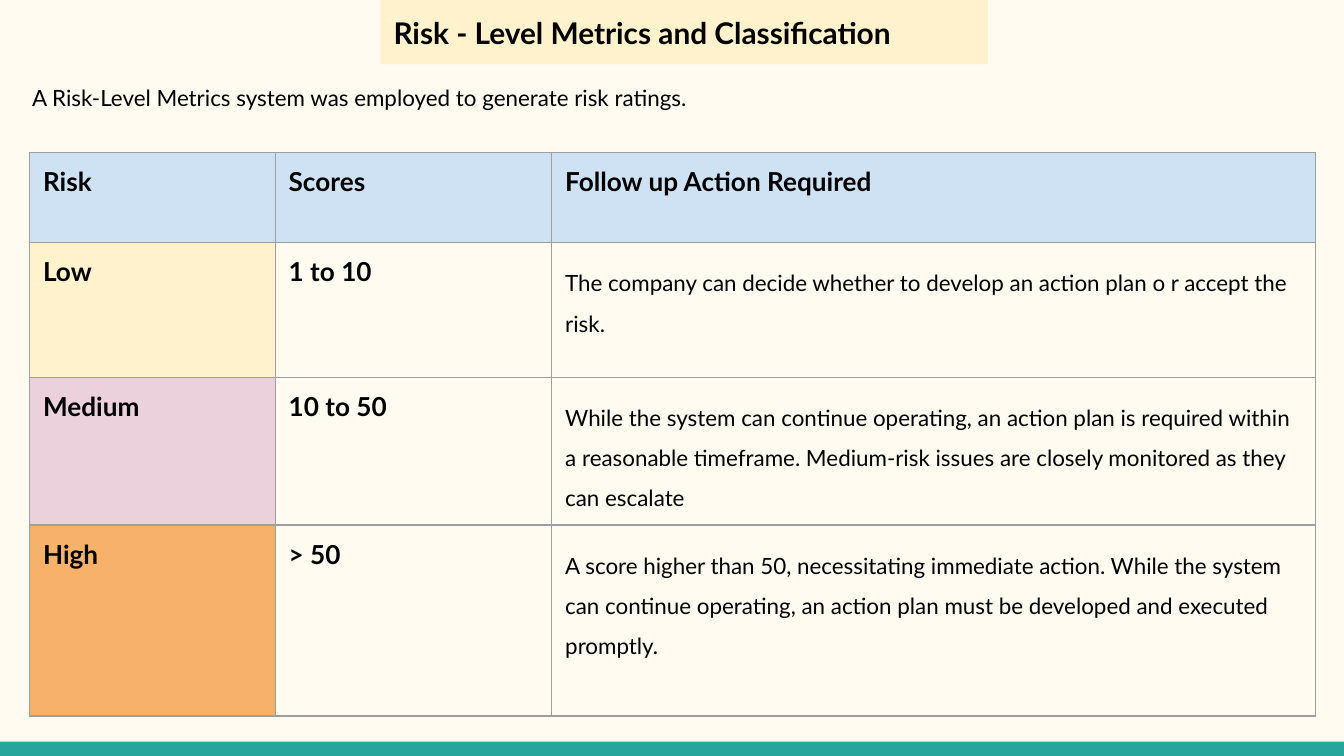
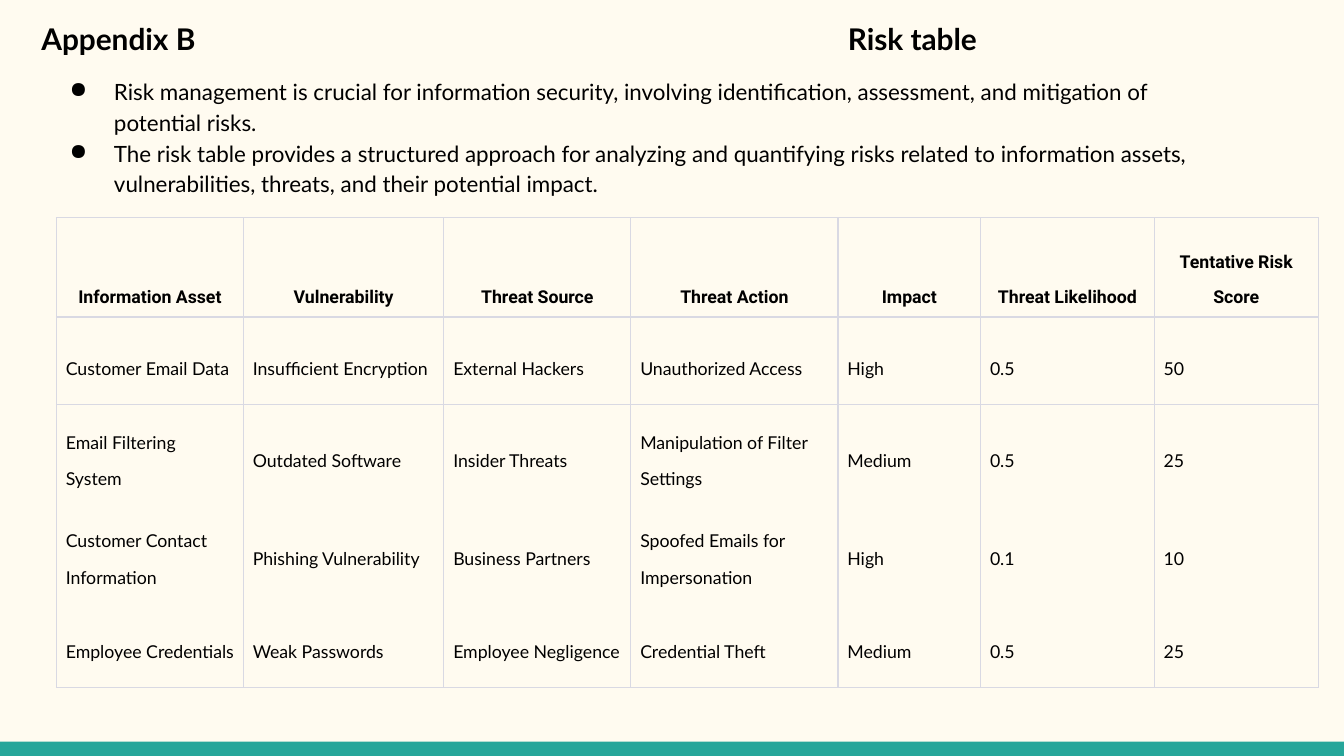
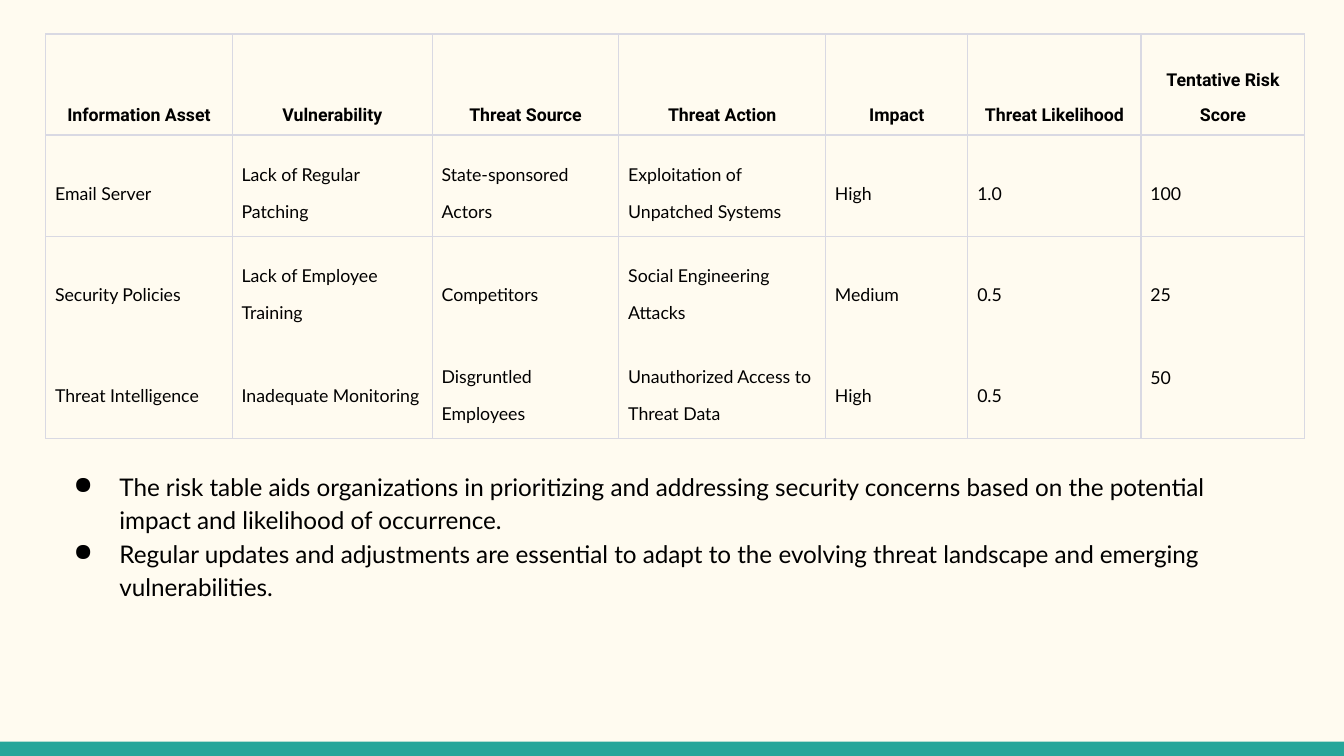
import dataclasses

import lxml.etree
import pptx
import pptx.dml.color
import pptx.enum.shapes
import pptx.enum.text
import pptx.oxml.ns
import pptx.util

ANCHOR = pptx.enum.text.MSO_ANCHOR
ALIGN = pptx.enum.text.PP_ALIGN
WIDE, HIGH = 10, 5.625


@dataclasses.dataclass(frozen=True)
class Theme:
    page: str = "FFFBF0"
    band: str = "26A69A"
    ink: str = "000000"
    head: str = "CFE2F3"
    low: str = "FFF2CC"
    medium: str = "EAD1DC"
    high: str = "F6B26B"
    rule: str = "9E9E9E"
    pale: str = "D9D9E3"
    title: float = 16
    label: float = 14
    note: float = 13
    body: float = 12
    small: float = 9.5
    face: str = "Lato"
    strong: str = "Roboto"


T = Theme()
TITLE = {"size": T.title, "bold": True}
LABEL = {"size": T.label, "bold": True}
BODY = {"size": T.body}
NOTE = {"size": T.note}
SMALL = {"size": T.small}
COLUMN = {"size": T.small, "bold": True, "name": T.strong}

LEVELS = [
    ("Low", "1 to 10", T.low,
     "The company can decide whether to develop an action plan o r accept the risk."),
    ("Medium", "10 to 50", T.medium,
     "While the system can continue operating, an action plan is required within a "
     "reasonable timeframe. Medium-risk issues are closely monitored as they can escalate"),
    ("High", "> 50", T.high,
     "A score higher than 50, necessitating immediate action. While the system can "
     "continue operating, an action plan must be developed and executed promptly."),
]
HEADS = ["Information Asset", "Vulnerability", "Threat Source", "Threat Action",
         "Impact", "Threat Likelihood", "Tentative Risk Score"]
SPANS = [1.39, 1.49, 1.39, 1.54, 1.06, 1.29, 1.22]
ASSETS = [
    ["Customer Email Data", "Insufficient Encryption", "External Hackers",
     "Unauthorized Access", "High", "0.5", "50"],
    ["Email Filtering System", "Outdated Software", "Insider Threats",
     "Manipulation of Filter Settings", "Medium", "0.5", "25"],
    ["Customer Contact Information", "Phishing Vulnerability", "Business Partners",
     "Spoofed Emails for Impersonation", "High", "0.1", "10"],
    ["Employee Credentials", "Weak Passwords", "Employee Negligence",
     "Credential Theft", "Medium", "0.5", "25"],
]
SYSTEMS = [
    ["Email Server", "Lack of Regular Patching", "State-sponsored Actors",
     "Exploitation of Unpatched Systems", "High", "1.0", "100"],
    ["Security Policies", "Lack of Employee Training", "Competitors",
     "Social Engineering Attacks", "Medium", "0.5", "25"],
    ["Threat Intelligence", "Inadequate Monitoring", "Disgruntled Employees",
     "Unauthorized Access to Threat Data", "High", "0.5", "50"],
]
NEEDS = [
    "Risk management is crucial for information security, involving identification, "
    "assessment, and mitigation of potential risks.",
    "The risk table provides a structured approach for analyzing and quantifying risks "
    "related to information assets, vulnerabilities, threats, and their potential impact.",
]
GAINS = [
    "The risk table aids organizations in prioritizing and addressing security concerns "
    "based on the potential impact and likelihood of occurrence.",
    "Regular updates and adjustments are essential to adapt to the evolving threat "
    "landscape and emerging vulnerabilities.",
]


def tint(code):
    return pptx.dml.color.RGBColor.from_string(code)


def place(box):
    x, y, w, h = box
    return [pptx.util.Inches(size) for size in
            (x * WIDE / 100, y * HIGH / 100, w * WIDE / 100, h * HIGH / 100)]


def apply(target, values):
    for name, value in values.items():
        setattr(target, name, value)


def node(parent, tag, **values):
    return lxml.etree.SubElement(parent, pptx.oxml.ns.qn(tag), values)


def ink(parent, code):
    node(node(parent, "a:solidFill"), "a:srgbClr", val=code)


def pad(target, inset):
    apply(target, {"margin_" + side: pptx.util.Inches(inset)
                   for side in ("left", "right", "top", "bottom")})


def write(para, text, style, form=None):
    apply(para, form or {})
    run = para.add_run()
    run.text = text
    look = {"name": T.face, "bold": False, **style}
    apply(run.font, {**look, "size": pptx.util.Pt(look["size"])})
    run.font.color.rgb = tint(T.ink)


def panel(slide, box, fill):
    shape = slide.shapes.add_shape(pptx.enum.shapes.MSO_SHAPE.RECTANGLE, *place(box))
    shape.shadow.inherit = False
    shape.fill.solid()
    shape.fill.fore_color.rgb = tint(fill)
    shape.line.fill.background()
    return shape


def frame(shape, anchor=ANCHOR.TOP):
    text = shape.text_frame
    pad(text, 0.1)
    apply(text, {"word_wrap": True, "vertical_anchor": anchor})
    return text


def label(slide, box):
    return frame(slide.shapes.add_textbox(*place(box)))


def points(slide, box, items, style, hang):
    text = label(slide, box)
    for turn, item in enumerate(items):
        para = text.add_paragraph() if turn else text.paragraphs[0]
        props = para._p.get_or_add_pPr()
        props.set("marL", str(pptx.util.Inches(0.5)))
        props.set("indent", str(-pptx.util.Inches(hang)))
        node(node(props, "a:buClr"), "a:srgbClr", val=T.ink)
        node(props, "a:buChar", char="●")
        write(para, item, style, {"line_spacing": 1.15})


def edge(cell, code, top=True, bottom=True):
    props = cell._tc.get_or_add_tcPr()
    for side, shown in zip("LRTB", (True, True, top, bottom)):
        line = node(props, "a:ln" + side, w=str(pptx.util.Pt(0.75)))
        if shown:
            ink(line, code)
        else:
            node(line, "a:noFill")


def paint(cell, fill=None):
    if fill:
        cell.fill.solid()
        cell.fill.fore_color.rgb = tint(fill)
    else:
        cell.fill.background()


def grid(slide, box, cols, rows):
    spot = place(box)
    table = slide.shapes.add_table(len(rows), len(cols), *spot).table
    apply(table, {"first_row": False, "horz_banding": False})
    for col, part in zip(table.columns, cols):
        col.width = int(spot[2] * part / sum(cols))
    for row, part in zip(table.rows, rows):
        row.height = int(spot[3] * part / sum(rows))
    return table


def levels(slide, box):
    table = grid(slide, box, [1.83, 2.06, 5.69], [0.67, 1, 1.1, 1.42])
    lines = [[("Risk", LABEL, T.head), ("Scores", LABEL, T.head),
              ("Follow up Action Required", LABEL, T.head)]]
    lines += [[(name, LABEL, fill), (score, LABEL, None), (plan, BODY, None)]
              for name, score, fill, plan in LEVELS]
    for r, line in enumerate(lines):
        for c, (text, style, fill) in enumerate(line):
            cell = table.cell(r, c)
            pad(cell, 0.1)
            edge(cell, T.rule)
            paint(cell, fill)
            form = {"line_spacing": 1.5} if style is BODY else {}
            write(cell.text_frame.paragraphs[0], text, style, form)


def risks(slide, box, items, rows):
    table = grid(slide, box, SPANS, rows)
    last = len(items)
    for r, line in enumerate([HEADS] + items):
        style, anchor, align = ((SMALL, ANCHOR.MIDDLE, ALIGN.LEFT) if r else
                                (COLUMN, ANCHOR.BOTTOM, ALIGN.CENTER))
        for c, text in enumerate(line):
            cell = table.cell(r, c)
            pad(cell, 0.07)
            cell.vertical_anchor = anchor
            edge(cell, T.pale, r <= 2, r < 2 or r == last)
            paint(cell)
            write(cell.text_frame.paragraphs[0], text, style,
                  {"line_spacing": 1.71, "alignment": align})
    return table


def metrics(slide):
    banner = frame(panel(slide, (28.3, 0, 45.2, 8.5), T.low), ANCHOR.MIDDLE)
    write(banner.paragraphs[0], "Risk - Level Metrics and Classification", TITLE,
          {"alignment": ALIGN.LEFT})
    intro = label(slide, (1.4, 7.6, 68.8, 10))
    write(intro.paragraphs[0],
          "A Risk-Level Metrics system was employed to generate risk ratings.",
          BODY, {"line_spacing": 1.5})
    levels(slide, (2.2, 20.2, 95.7, 74.5))


def annex(slide):
    para = label(slide, (2.1, 1, 93.2, 11.2)).paragraphs[0]
    tabs = node(para._p.get_or_add_pPr(), "a:tabLst")
    node(tabs, "a:tab", pos=str(pptx.util.Inches(6)), algn="l")
    write(para, "Appendix B\tRisk table", TITLE)
    risks(slide, (4.2, 28.8, 93.9, 62.2), ASSETS, [0.74, 0.65, 0.73, 0.73, 0.65])
    points(slide, (2.5, 8, 89.4, 20), NEEDS, BODY, 0.33)


def closing(slide):
    points(slide, (2.9, 60.1, 93.2, 36.4), GAINS, NOTE, 0.34)
    table = risks(slide, (3.4, 4.5, 93.7, 53.5), SYSTEMS, [1] * 4)
    apply(table.cell(3, 6), {"vertical_anchor": ANCHOR.TOP,
                             "margin_top": pptx.util.Inches(0.11)})


def main():
    deck = pptx.Presentation()
    apply(deck, {"slide_width": pptx.util.Inches(WIDE),
                 "slide_height": pptx.util.Inches(HIGH)})
    back = deck.slide_master.background.fill
    back.solid()
    back.fore_color.rgb = tint(T.page)
    for build in (metrics, annex, closing):
        slide = deck.slides.add_slide(deck.slide_layouts[6])
        panel(slide, (0, 98.1, 100, 1.9), T.band)
        build(slide)
    deck.save("out.pptx")


if __name__ == "__main__":
    main()
